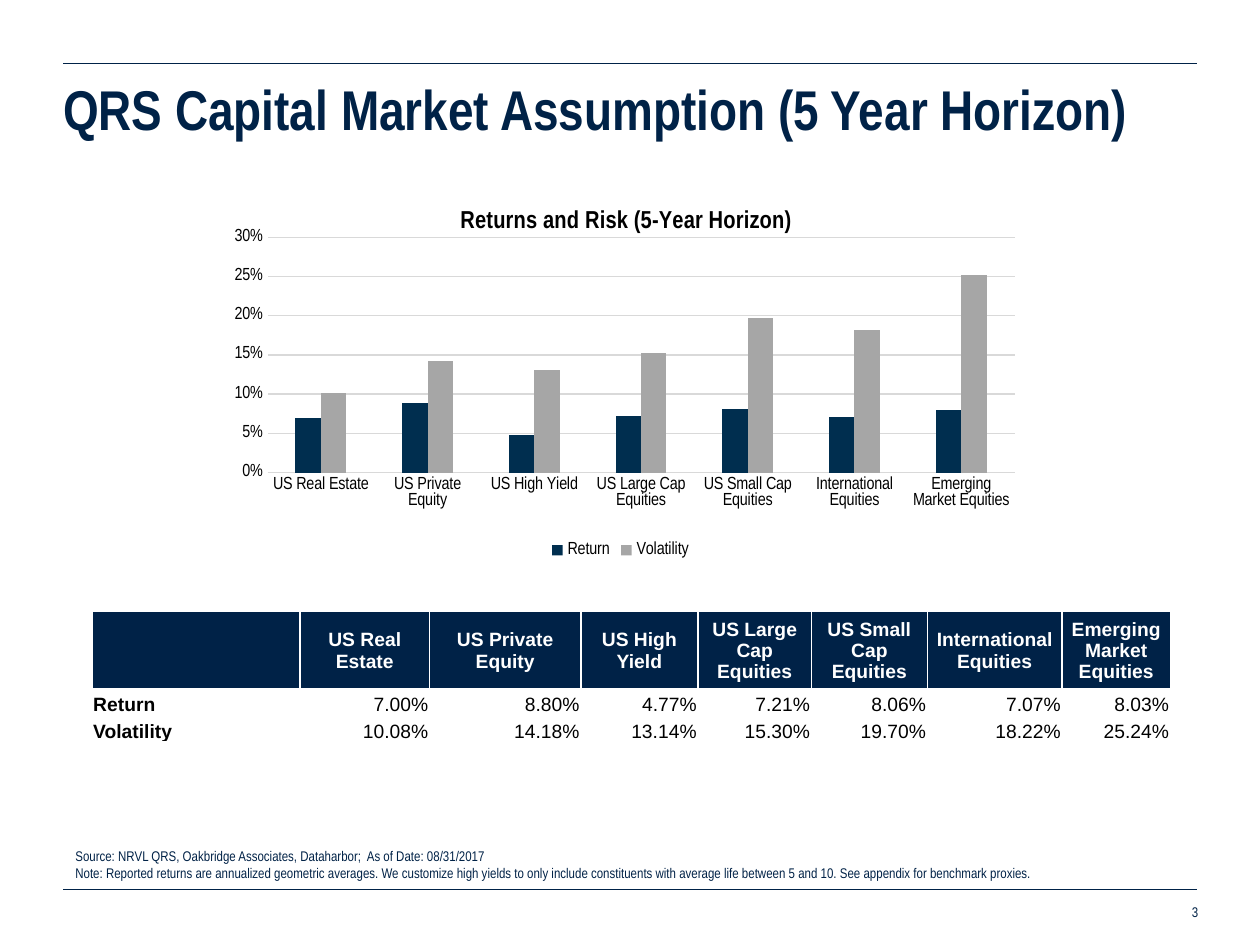
import pptx
import pptx.chart.data
import pptx.dml.color
import pptx.enum.chart
import pptx.enum.shapes
import pptx.enum.text
import pptx.oxml
import pptx.oxml.ns
import pptx.util
from pptx.util import Inches, Pt

RGBColor = pptx.dml.color.RGBColor
PP_ALIGN = pptx.enum.text.PP_ALIGN
MSO_ANCHOR = pptx.enum.text.MSO_ANCHOR
XL = pptx.enum.chart
qn = pptx.oxml.ns.qn

NAVY = RGBColor(0x00, 0x22, 0x47)
BAR_NAVY = RGBColor(0x00, 0x2E, 0x4F)
BAR_GRAY = RGBColor(0xA6, 0xA6, 0xA6)
GRID_GRAY = RGBColor(0xD9, 0xD9, 0xD9)
BLACK = RGBColor(0, 0, 0)
WHITE = RGBColor(0xFF, 0xFF, 0xFF)
NARROW = "Arial Narrow"

ASSETS = ["US Real Estate", "US Private Equity", "US High Yield",
          "US Large Cap Equities", "US Small Cap Equities",
          "International Equities", "Emerging Market Equities"]
MEASURES = {
    "Return": [7.00, 8.80, 4.77, 7.21, 8.06, 7.07, 8.03],
    "Volatility": [10.08, 14.18, 13.14, 15.30, 19.70, 18.22, 25.24],
}


def set_font(font, size, color, bold=False, name=NARROW):
    font.name, font.size, font.bold = name, Pt(size), bold
    font.color.rgb = color


def set_margins(target, left, top, right, bottom):
    target.margin_left, target.margin_top = Inches(left), Inches(top)
    target.margin_right, target.margin_bottom = Inches(right), Inches(bottom)


def add_rule(s, x, y, w):
    line = s.shapes.add_connector(pptx.enum.shapes.MSO_CONNECTOR.STRAIGHT,
                                  Inches(x), Inches(y), Inches(x + w), Inches(y))
    line.line.color.rgb = NAVY
    line.line.width = Pt(0.5)
    pptx.oxml.ns  # namespace map used by qn
    line._element.spPr.append(line._element.makeelement(qn("a:effectLst"), {}))


def add_title(s, x, y, w, h, text):
    title = s.shapes.title
    title.left, title.top = Inches(x), Inches(y)
    title.width, title.height = Inches(w), Inches(h)
    tf = title.text_frame
    tf.text = text
    tf.word_wrap = True
    tf.auto_size = pptx.enum.text.MSO_AUTO_SIZE.NONE
    tf.vertical_anchor = MSO_ANCHOR.MIDDLE
    set_margins(tf, 0, 0.05, 0.1, 0.05)
    tf.paragraphs[0].alignment = PP_ALIGN.LEFT
    set_font(tf.paragraphs[0].font, 32, NAVY, True)


def add_small_text(s, x, y, w, h, lines, align):
    tf = s.shapes.add_textbox(Inches(x), Inches(y), Inches(w), Inches(h)).text_frame
    tf.word_wrap = True
    tf.text = "\n".join(lines)
    for p in tf.paragraphs:
        p.alignment = align
        set_font(p.font, 8, NAVY)
    return tf


def set_layout(parent, index, **values):
    for old in parent.findall(qn("c:layout")):
        parent.remove(old)
    layout = parent.makeelement(qn("c:layout"), {})
    manual = layout.makeelement(qn("c:manualLayout"), {})
    layout.append(manual)
    for tag, value in values.items():
        manual.append(manual.makeelement(qn("c:" + tag), {"val": str(value)}))
    parent.insert(index, layout)


def add_risk_chart(s, x, y, w, h):
    data = pptx.chart.data.CategoryChartData(number_format="0%")
    data.categories = ASSETS
    for name, values in MEASURES.items():
        data.add_series(name, [round(v / 100, 3) for v in values])
    chart = s.shapes.add_chart(XL.XL_CHART_TYPE.COLUMN_CLUSTERED, Inches(x), Inches(y),
                               Inches(w), Inches(h), data).chart
    set_font(chart.font, 10, BLACK)

    chart.has_title = True
    tf = chart.chart_title.text_frame
    tf.text = "Returns and Risk (5-Year Horizon)"
    set_font(tf.paragraphs[0].font, 14, BLACK, True)
    set_layout(chart.chart_title._element, 1, xMode="edge", yMode="edge", x=0.3, y=0.04)
    set_layout(chart._chartSpace.chart.plotArea, 0, layoutTarget="inner", xMode="edge",
               yMode="edge", x=0.071, y=0.132, w=0.908, h=0.627)

    chart.has_legend = True
    chart.legend.position = XL.XL_LEGEND_POSITION.BOTTOM
    chart.legend.include_in_layout = False
    set_font(chart.legend.font, 10, BLACK)

    for axis in (chart.category_axis, chart.value_axis):
        axis.major_tick_mark = axis.minor_tick_mark = XL.XL_TICK_MARK.NONE
        set_font(axis.tick_labels.font, 10, BLACK)
    chart.category_axis.format.line.color.rgb = GRID_GRAY
    chart.category_axis.format.line.width = Pt(0.75)
    values = chart.value_axis
    values.minimum_scale, values.maximum_scale, values.major_unit = 0, 0.3, 0.05
    values.tick_labels.number_format = "0%"
    values.tick_labels.number_format_is_linked = False
    values.format.line.fill.background()
    values.major_gridlines.format.line.color.rgb = GRID_GRAY
    values.major_gridlines.format.line.width = Pt(0.75)

    plot = chart.plots[0]
    plot.vary_by_categories = False
    plot.gap_width, plot.overlap = 219, 0
    for series, color in zip(plot.series, (BAR_NAVY, BAR_GRAY)):
        series.format.fill.solid()
        series.format.fill.fore_color.rgb = color


def set_borders(cell):
    tcPr = cell._tc.get_or_add_tcPr()
    for i, side in enumerate(("lnL", "lnR", "lnT", "lnB")):
        tcPr.insert(i, pptx.oxml.parse_xml(
            f'<a:{side} xmlns:a="http://schemas.openxmlformats.org/drawingml/2006/main" '
            f'w="12700"><a:solidFill><a:srgbClr val="{WHITE}"/></a:solidFill></a:{side}>'))


def format_cell(cell, text, header, label):
    cell.text = text
    set_margins(cell, 0.01, 0.01, 0.01, 0)
    cell.vertical_anchor = MSO_ANCHOR.MIDDLE if header else MSO_ANCHOR.BOTTOM
    p = cell.text_frame.paragraphs[0]
    p.alignment = PP_ALIGN.CENTER if header else PP_ALIGN.LEFT if label else PP_ALIGN.RIGHT
    set_font(p.font, 11, WHITE if header else BLACK, header or label, "Arial")
    if header:
        cell.fill.solid()
        cell.fill.fore_color.rgb = NAVY
    else:
        cell.fill.background()
    set_borders(cell)


def add_assumption_table(s, x, y, w, h):
    rows = [[""] + ASSETS]
    rows += [[name] + [f"{v:.2f}%" for v in values] for name, values in MEASURES.items()]
    table = s.shapes.add_table(len(rows), len(rows[0]), Inches(x), Inches(y),
                               Inches(w), Inches(h)).table
    table.horz_banding = False
    for column, width in zip(table.columns, (1.65, 1.03, 1.2, 0.93, 0.9, 0.92, 1.07, 0.86)):
        column.width = Inches(width)
    for row, height in zip(table.rows, (0.62, 0.21, 0.21)):
        row.height = Inches(height)
    for i, texts in enumerate(rows):
        for j, text in enumerate(texts):
            format_cell(table.cell(i, j), text, i == 0, j == 0)


def add_footer(s, x, y, w):
    add_small_text(s, x, y, w - 0.16, 0.55, [
        "Source: NRVL QRS, Oakbridge Associates, Dataharbor;  As of Date: 08/31/2017",
        "Note: Reported returns are annualized geometric averages. We customize high yields "
        "to only include constituents with average life between 5 and 10. "
        "See appendix for benchmark proxies."], PP_ALIGN.JUSTIFY)
    add_rule(s, x, y + 0.38, w)
    tf = add_small_text(s, x + w - 2.35, y + 0.42, 2.36, 0.27, ["3"], PP_ALIGN.RIGHT)
    tf.vertical_anchor = MSO_ANCHOR.MIDDLE
    set_margins(tf, 0.1, 0.05, 0, 0.05)


prs = pptx.Presentation()
prs.slide_width, prs.slide_height = Inches(10), Inches(7.5)
s = prs.slides.add_slide(prs.slide_layouts[5])
add_rule(s, 0.5, 0.5, 9)
add_title(s, 0.5, 0.44, 9.01, 0.83, "QRS Capital Market Assumption (5 Year Horizon)")
add_risk_chart(s, 1.66, 1.49, 6.53, 2.98)
add_assumption_table(s, 0.73, 4.85, 8.56, 1.04)
add_footer(s, 0.5, 6.68, 9)
prs.save("out.pptx")
